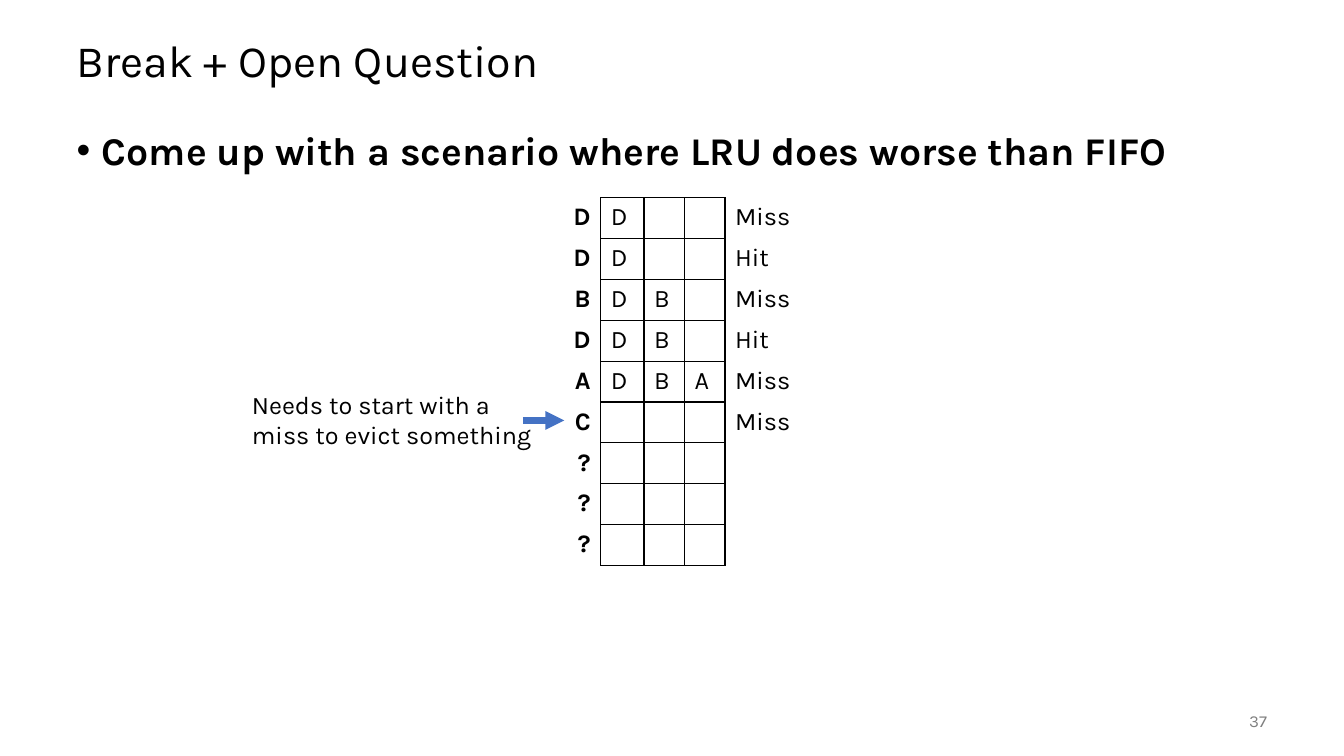
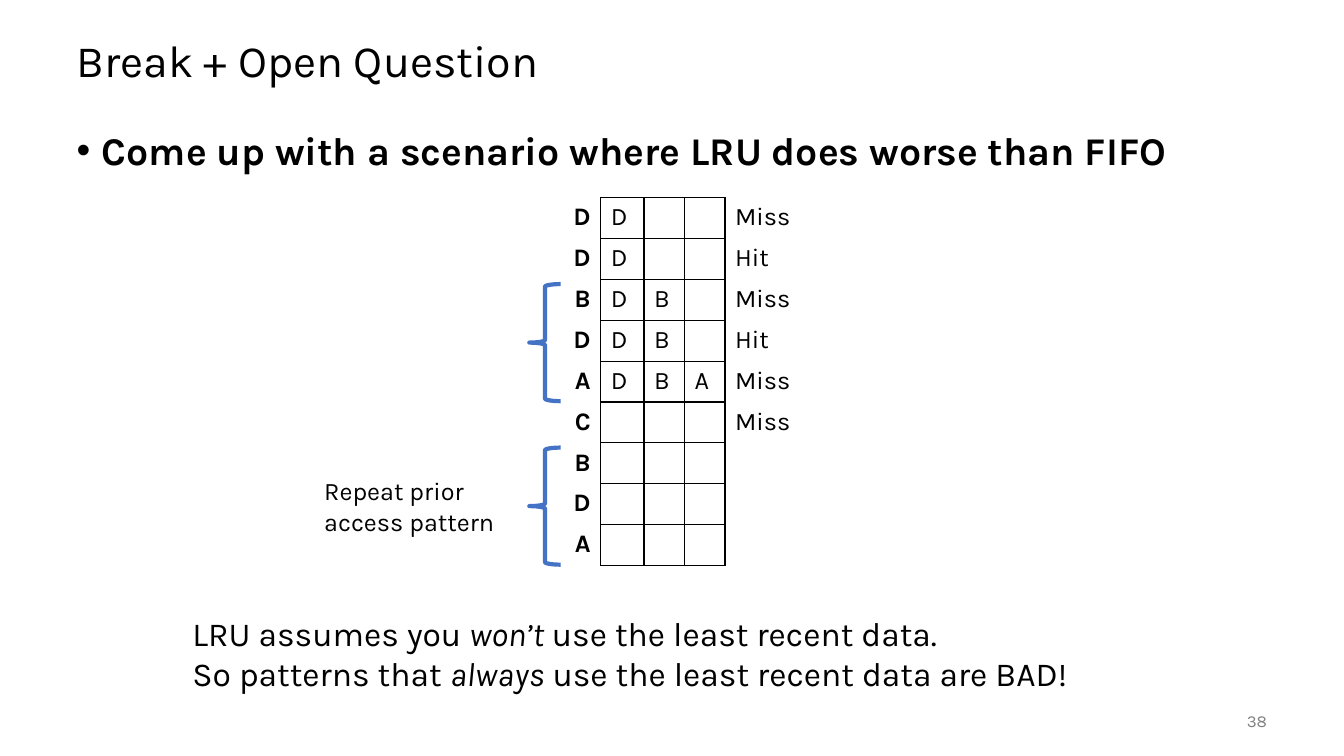
from lxml.etree import SubElement
from pptx import Presentation
from pptx.dml.color import RGBColor
from pptx.enum.shapes import MSO_CONNECTOR, MSO_SHAPE
from pptx.enum.text import MSO_ANCHOR, PP_ALIGN
from pptx.oxml.ns import qn
from pptx.util import Cm, Pt

FONT = "Karla"
COLORS = {"ink": "000000", "gray": "808080", "blue": "4472C4"}
PLAIN = "{2D5ABB26-0587-4C30-8999-92F81FD0307C}"
COLS = [1.42, 1.09, 1.02, 1.02, 2.54]
ROW = 1.03
GRID = (13.72, 4.98)
STEPS = [
    ("D", "D", "", "", "Miss"),
    ("D", "D", "", "", "Hit"),
    ("B", "D", "B", "", "Miss"),
    ("D", "D", "B", "", "Hit"),
    ("A", "D", "B", "A", "Miss"),
    ("C", "", "", "", "Miss"),
]


def color(name):
    """Return a named colour."""
    return RGBColor.from_string(COLORS[name])


def write(frame, text, size=18, ink="ink", bold=False, align=PP_ALIGN.LEFT,
          line=None, bullet=False):
    """Fill a text frame; text between asterisks is italic."""
    para = frame.paragraphs[0]
    if bullet:
        props = para._p.get_or_add_pPr()
        props.set("marL", str(Cm(0.64)))
        props.set("indent", str(-Cm(0.64)))
        SubElement(props, qn("a:buFont"), typeface="Arial")
        SubElement(props, qn("a:buChar"), char="•")
    para.alignment = align
    if line:
        para.line_spacing = line
    for row, words in enumerate(text.split("\n")):
        if row:
            para.add_line_break()
        for part, piece in enumerate(words.split("*")):
            run = para.add_run()
            run.text = piece
            font = run.font
            font.name, font.size = FONT, Pt(size)
            font.bold, font.italic = bold, part % 2 == 1
            font.color.rgb = color(ink)


def label(slide, box, text, anchor=MSO_ANCHOR.TOP, **fmt):
    """Place a wrapped text box."""
    frame = slide.shapes.add_textbox(*map(Cm, box)).text_frame
    frame.word_wrap = True
    frame.vertical_anchor = anchor
    write(frame, text, **fmt)


def border(cell, sides):
    """Draw thin lines on the given sides of a cell."""
    props = cell._tc.get_or_add_tcPr()
    for spot, side in enumerate(sides):
        edge = props.makeelement(qn("a:ln" + side), {"w": str(Pt(1))})
        fill = SubElement(edge, qn("a:solidFill"))
        SubElement(fill, qn("a:srgbClr"), val=COLORS["ink"])
        props.insert(spot, edge)


def cache(slide, left, top, tail):
    """Draw the cache table, ending with the tail of accesses."""
    steps = STEPS + [(key, "", "", "", "") for key in tail]
    box = map(Cm, (left, top, sum(COLS), ROW * len(steps)))
    frame = slide.shapes.add_table(len(steps), len(COLS), *box)
    table = frame.table
    table.first_row = table.horz_banding = False
    table._tbl.tblPr.find(qn("a:tableStyleId")).text = PLAIN
    for col, width in zip(table.columns, COLS):
        col.width = Cm(width)
    last = len(COLS) - 1
    for r, step in enumerate(steps):
        table.rows[r].height = Cm(ROW)
        for c, text in enumerate(step):
            cell = table.cell(r, c)
            cell.fill.background()
            border(cell, {0: "R", last: "L"}.get(c, "LRTB"))
            if text:
                write(cell.text_frame, text, bold=c == 0,
                      align=PP_ALIGN.LEFT if c else PP_ALIGN.RIGHT)


def arrow(slide, left, top, row):
    """Point at one row of the table at left, top."""
    y = top + (row + 0.5) * ROW - 0.05
    ends = map(Cm, (left - 0.54, y, left + 0.5, y))
    line = slide.shapes.add_connector(MSO_CONNECTOR.STRAIGHT, *ends)
    line.line.color.rgb = color("blue")
    line.line.width = Pt(4.5)
    SubElement(line.line._get_or_add_ln(), qn("a:tailEnd"), type="triangle")
    SubElement(line._element.spPr, qn("a:effectLst"))


def brace(slide, left, top, row):
    """Span three rows of the table at left, top."""
    box = map(Cm, (left - 0.38, top + row * ROW + 0.12, 0.79, 2.95))
    shape = slide.shapes.add_shape(MSO_SHAPE.LEFT_BRACE, *box)
    shape.shadow.inherit = False
    shape.fill.background()
    shape.line.color.rgb = color("blue")
    shape.line.width = Pt(3)


def base(deck, page, tail):
    """Add a slide with the shared title, prompt, number and table."""
    slide = deck.slides.add_slide(deck.slide_layouts[6])
    label(slide, (1.68, 0.64, 30.48, 1.9), "Break + Open Question",
          anchor=MSO_ANCHOR.MIDDLE, size=32, line=0.9)
    label(slide, (1.68, 3.18, 30.48, 13.97),
          "Come up with a scenario where LRU does worse than FIFO",
          size=28, bold=True, line=0.9, bullet=True)
    label(slide, (29.64, 17.65, 2.54, 1.02), str(page), size=12, ink="gray",
          anchor=MSO_ANCHOR.MIDDLE, align=PP_ALIGN.RIGHT)
    cache(slide, *GRID, tail)
    return slide


def main():
    """Build and save the deck."""
    deck = Presentation()
    deck.slide_width, deck.slide_height = Cm(33.87), Cm(19.05)

    slide = base(deck, 37, "???")
    label(slide, (6.1, 9.68, 7.62, 1.8),
          "Needs to start with a miss to evict something")
    arrow(slide, *GRID, 5)

    slide = base(deck, 38, "BDA")
    for row in (2, 6):
        brace(slide, *GRID, row)
    label(slide, (7.92, 11.86, 4.83, 1.8), "Repeat prior access pattern")
    label(slide, (4.6, 15.32, 24, 2.31),
          "LRU assumes you *won’t* use the least recent data.\n"
          "So patterns that *always* use the least recent data are BAD!",
          size=24)
    deck.save("out.pptx")


if __name__ == "__main__":
    main()
